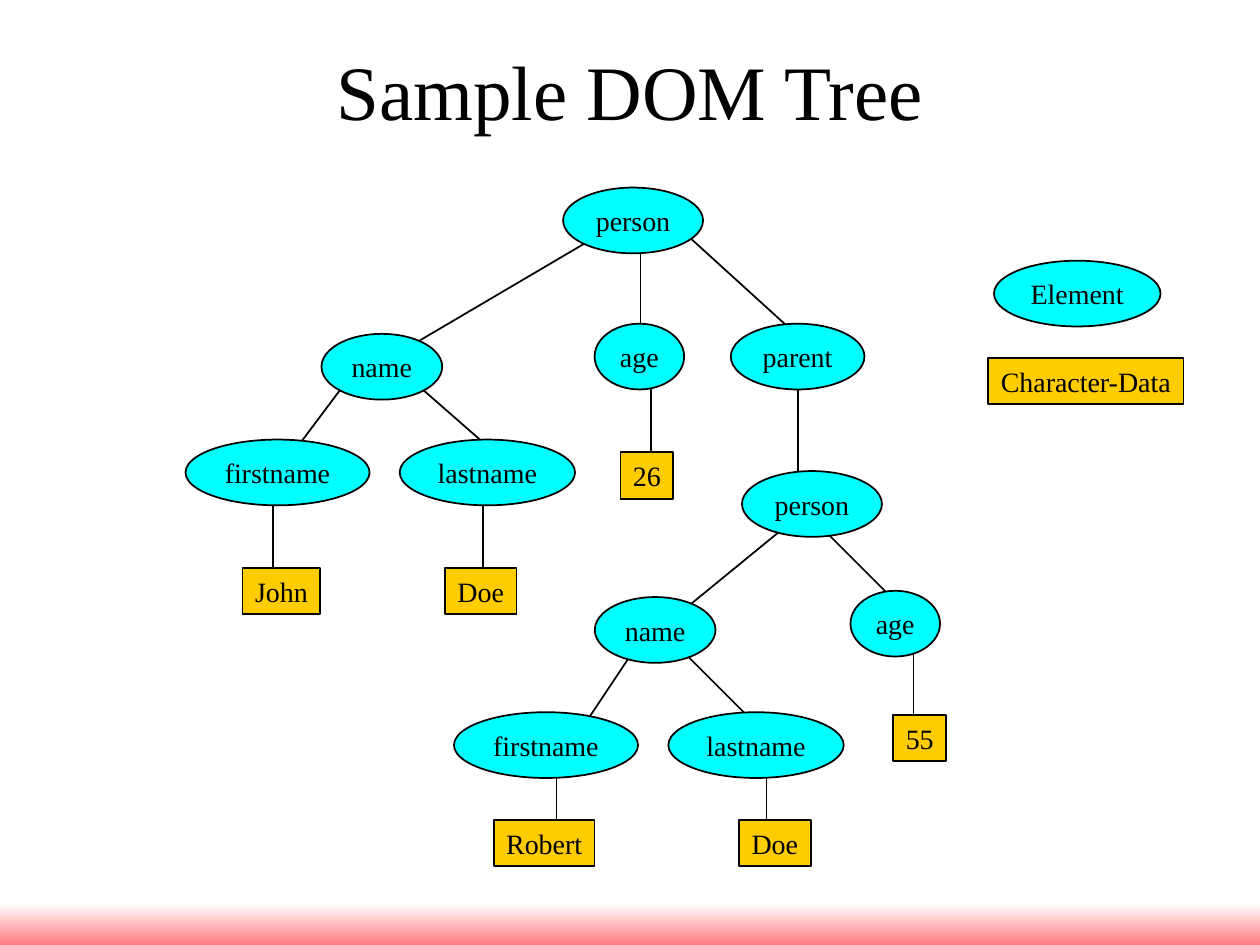
from dataclasses import dataclass

from lxml.etree import SubElement
from pptx import Presentation
from pptx.dml.color import RGBColor
from pptx.enum.shapes import MSO_CONNECTOR, MSO_SHAPE
from pptx.enum.text import MSO_ANCHOR, MSO_AUTO_SIZE, PP_ALIGN
from pptx.oxml.ns import qn
from pptx.util import Pt


@dataclass(frozen=True)
class Theme:
    ink: RGBColor = RGBColor.from_string("000000")
    element: RGBColor = RGBColor.from_string("00FFFF")
    data: RGBColor = RGBColor.from_string("FFCC00")
    band_top: RGBColor = RGBColor.from_string("FFFFFF")
    band_bottom: RGBColor = RGBColor.from_string("FF7C80")
    font: str = "Times New Roman"
    title_size: int = 44
    node_size: int = 16
    line_width: int = 1


@dataclass(frozen=True)
class Box:
    left: float
    top: float
    width: float
    height: float


THEME = Theme()

ELEMENT_HEIGHT = 37.6
ELEMENT_WIDTHS = {
    "person": 80, "name": 69, "age": 51.2, "parent": 76.4,
    "firstname": 105.2, "lastname": 100.2, "Element": 95.2,
}
DATA_HEIGHT = 26.6
DATA_WIDTHS = {
    "John": 44.6, "Doe": 41, "26": 30.2, "55": 30.2,
    "Robert": 57.6, "Character-Data": 111.8,
}

TREE_NODES = [
    ("person", 259.8, 24), ("name", 116.2, 107.6), ("age", 263.4, 101.8),
    ("parent", 353.8, 101.8), ("person", 362, 186),
    ("firstname", 56.6, 168), ("lastname", 176.5, 168),
    ("name", 272.4, 258), ("age", 409.6, 254.4),
    ("firstname", 210, 323.8), ("lastname", 330, 323.8),
    ("John", 58.8, 235.8), ("Doe", 172.7, 235.8), ("26", 267.6, 169.8),
    ("55", 423.6, 319.8), ("Robert", 209, 379.8), ("Doe", 340.8, 379.8),
]
TREE_BRANCHES = [
    (234, 36, 132, 96), (264, 30, 264, 90), (288, 30, 354, 90),
    (102, 108, 66, 156), (132, 114, 180, 156),
    (270, 114, 270, 168), (354, 108, 354, 180),
    (348, 198, 282, 252), (366, 198, 414, 246),
    (264, 264, 228, 318), (282, 264, 336, 318), (420, 264, 420, 306),
    (54, 180, 54, 234), (174, 180, 174, 234),
    (216, 336, 216, 378), (336, 336, 336, 378),
]
LEGEND_NODES = [("Element", 51.6, 18.8), ("Character-Data", 56.5, 68.8)]


def write_text(frame, text, size):
    frame.text = text
    para = frame.paragraphs[0]
    para.alignment = PP_ALIGN.CENTER
    font = para.runs[0].font
    font.name = THEME.font
    font.size = Pt(size)
    font.color.rgb = THEME.ink


def add_node(page, box, label, center_x, center_y):
    if label in ELEMENT_WIDTHS:
        kind, fill = MSO_SHAPE.OVAL, THEME.element
        width, height = ELEMENT_WIDTHS[label], ELEMENT_HEIGHT
    else:
        kind, fill = MSO_SHAPE.RECTANGLE, THEME.data
        width, height = DATA_WIDTHS[label], DATA_HEIGHT
    node = page.shapes.add_shape(
        kind,
        Pt(box.left + center_x - width / 2),
        Pt(box.top + center_y - height / 2),
        Pt(width), Pt(height),
    )
    node.shadow.inherit = False
    node.fill.solid()
    node.fill.fore_color.rgb = fill
    node.line.color.rgb = THEME.ink
    node.line.width = Pt(THEME.line_width)
    frame = node.text_frame
    frame.word_wrap = False
    frame.auto_size = MSO_AUTO_SIZE.NONE
    frame.margin_left = frame.margin_right = Pt(0)
    frame.vertical_anchor = MSO_ANCHOR.MIDDLE
    write_text(frame, label, THEME.node_size)


def add_branch(page, box, start_x, start_y, end_x, end_y):
    branch = page.shapes.add_connector(
        MSO_CONNECTOR.STRAIGHT,
        Pt(box.left + start_x), Pt(box.top + start_y),
        Pt(box.left + end_x), Pt(box.top + end_y),
    )
    branch.line.color.rgb = THEME.ink
    branch.line.width = Pt(THEME.line_width)
    SubElement(branch._element.spPr, qn("a:effectLst"))


def add_footer_band(page, box):
    band = page.shapes.add_shape(
        MSO_SHAPE.RECTANGLE,
        Pt(box.left), Pt(box.top), Pt(box.width), Pt(box.height),
    )
    band.shadow.inherit = False
    band.line.fill.background()
    band.fill.gradient()
    band.fill.gradient_angle = 270
    colors = (THEME.band_top, THEME.band_bottom)
    for position, (stop, color) in enumerate(zip(band.fill.gradient_stops, colors)):
        stop.position = position
        stop.color.rgb = color


def add_title(page, box, text):
    title = page.shapes.add_textbox(
        Pt(box.left), Pt(box.top), Pt(box.width), Pt(box.height)
    )
    frame = title.text_frame
    frame.word_wrap = True
    write_text(frame, text, THEME.title_size)


def add_tree(page, box):
    for branch in TREE_BRANCHES:
        add_branch(page, box, *branch)
    for node in TREE_NODES:
        add_node(page, box, *node)


def add_legend(page, box):
    for node in LEGEND_NODES:
        add_node(page, box, *node)


def main():
    deck = Presentation()
    deck.slide_width = Pt(720)
    deck.slide_height = Pt(540)
    page = deck.slides.add_slide(deck.slide_layouts[6])
    add_footer_band(page, Box(0, 516, 720, 24))
    add_title(page, Box(36, 21.6, 648, 90), "Sample DOM Tree")
    add_tree(page, Box(102, 102, 444, 396))
    add_legend(page, Box(564, 149, 114, 84))
    deck.save("out.pptx")


if __name__ == "__main__":
    main()
